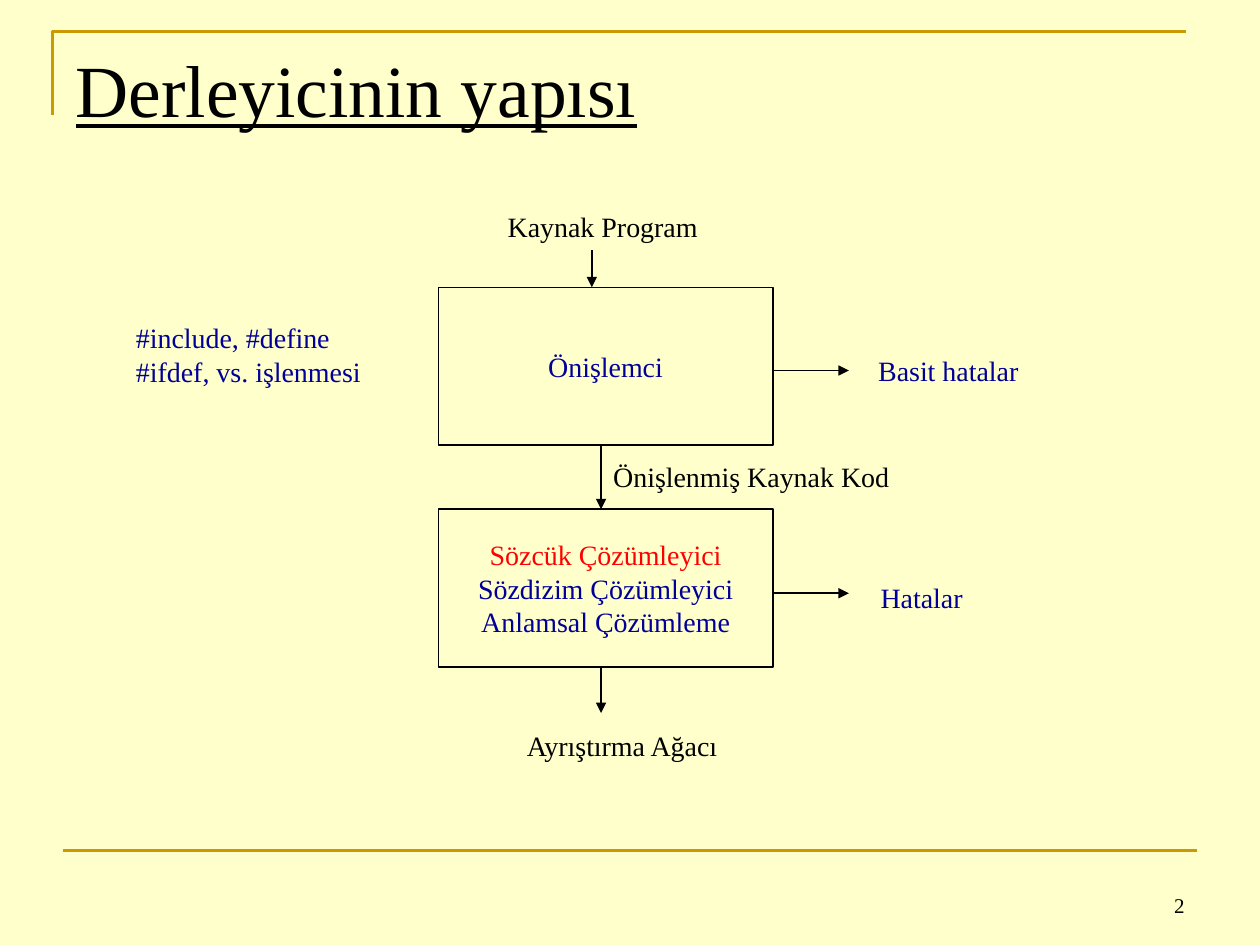
from dataclasses import dataclass
from typing import Optional

from lxml.etree import SubElement
from pptx import Presentation
from pptx.dml.color import RGBColor
from pptx.enum.shapes import MSO_CONNECTOR, MSO_SHAPE
from pptx.enum.text import MSO_ANCHOR, MSO_AUTO_SIZE, PP_ALIGN
from pptx.oxml.ns import qn
from pptx.util import Pt


@dataclass(frozen=True)
class Theme:
    font: str = "Times New Roman"
    paper: str = "FFFFCC"
    gold: str = "CC9900"
    black: str = "000000"
    navy: str = "000099"
    red: str = "FF0000"
    title_size: float = 42
    body_size: float = 16
    number_size: float = 12
    frame_line: float = 1.5
    diagram_line: float = 1


@dataclass(frozen=True)
class Label:
    lines: tuple[str, ...]
    left: float
    top: float
    width: float
    color: str


@dataclass(frozen=True)
class Stage:
    lines: tuple[str, ...]
    top: float
    first_color: str


@dataclass(frozen=True)
class Arrow:
    start: tuple[float, float]
    end: tuple[float, float]


THEME = Theme()
STAGE_LEFT, STAGE_WIDTH, STAGE_HEIGHT = 250.6, 191, 90
STAGE_RIGHT = STAGE_LEFT + STAGE_WIDTH
FLOW_X, ERROR_LENGTH, LINE_HEIGHT, INSET_Y = 343.5, 43.5, 19.2, 3.2

PREPROCESSOR = Stage(("Önişlemci",), 164.2, THEME.navy)
ANALYSER = Stage(
    ("Sözcük Çözümleyici", "Sözdizim Çözümleyici", "Anlamsal Çözümleme"), 291, THEME.red
)

LABELS = [
    Label(("Kaynak Program",), 283.7, 116.6, 121.7, THEME.black),
    Label(("#include, #define", "#ifdef, vs. işlenmesi"), 71.3, 180, 141.8, THEME.navy),
    Label(("Basit hatalar",), 495.4, 198.7, 92.9, THEME.navy),
    Label(("Önişlenmiş Kaynak Kod",), 344, 259.2, 170.6, THEME.black),
    Label(("Hatalar",), 496.8, 328.4, 59.8, THEME.navy),
    Label(("Ayrıştırma Ağacı",), 294.7, 413.3, 124.6, THEME.black),
]

ARROWS = [
    Arrow((338.2, 143), (338.2, PREPROCESSOR.top)),
    Arrow((FLOW_X, PREPROCESSOR.top + STAGE_HEIGHT), (FLOW_X, ANALYSER.top)),
    Arrow((FLOW_X, ANALYSER.top + STAGE_HEIGHT), (FLOW_X, 407.5)),
    *(Arrow((STAGE_RIGHT, y), (STAGE_RIGHT + ERROR_LENGTH, y)) for y in (211.7, 339)),
]


def write_text(frame, lines: tuple[str, ...], *, size: float = THEME.body_size,
               color: str = THEME.black, first_color: Optional[str] = None,
               align=PP_ALIGN.LEFT, anchor=MSO_ANCHOR.TOP, wrap: bool = False,
               underline: bool = False, inset: tuple[float, float] = (6.4, INSET_Y)) -> None:
    """Fill a text frame, one paragraph for each line."""
    frame.auto_size = MSO_AUTO_SIZE.NONE
    frame.word_wrap = wrap
    frame.vertical_anchor = anchor
    frame.margin_left = frame.margin_right = Pt(inset[0])
    frame.margin_top = frame.margin_bottom = Pt(inset[1])
    for index, line in enumerate(lines):
        para = frame.paragraphs[0] if index == 0 else frame.add_paragraph()
        para.alignment = align
        span = para.add_run()
        span.text = line
        span.font.name = THEME.font
        span.font.size = Pt(size)
        span.font.underline = underline
        chosen = first_color if index == 0 and first_color else color
        span.font.color.rgb = RGBColor.from_string(chosen)


def style_line(line, color: str, width: float) -> None:
    line.color.rgb = RGBColor.from_string(color)
    line.width = Pt(width)


def add_line(page, start: tuple[float, float], end: tuple[float, float], *,
             color: str = THEME.black, width: float = THEME.diagram_line,
             arrow: bool = False) -> None:
    connector = page.shapes.add_connector(
        MSO_CONNECTOR.STRAIGHT, *(Pt(value) for value in (*start, *end)))
    style_line(connector.line, color, width)
    properties = connector._element.spPr
    if arrow:
        SubElement(properties.find(qn("a:ln")), qn("a:tailEnd"), type="triangle")
    SubElement(properties, qn("a:effectLst"))


def add_stage(page, stage: Stage) -> None:
    box = page.shapes.add_shape(
        MSO_SHAPE.RECTANGLE, Pt(STAGE_LEFT), Pt(stage.top), Pt(STAGE_WIDTH), Pt(STAGE_HEIGHT))
    box.shadow.inherit = False
    box.fill.background()
    style_line(box.line, THEME.black, THEME.diagram_line)
    write_text(box.text_frame, stage.lines, color=THEME.navy, first_color=stage.first_color,
               align=PP_ALIGN.CENTER, anchor=MSO_ANCHOR.MIDDLE)


def add_label(page, label: Label) -> None:
    height = len(label.lines) * LINE_HEIGHT + 2 * INSET_Y
    box = page.shapes.add_textbox(
        Pt(label.left), Pt(label.top), Pt(label.width), Pt(height))
    write_text(box.text_frame, label.lines, color=label.color)


def add_frame(page) -> None:
    builder = page.shapes.build_freeform(Pt(30), Pt(66))
    builder.add_line_segments([(Pt(30), Pt(18)), (Pt(678), Pt(18))], close=False)
    corner = builder.convert_to_shape()
    corner.shadow.inherit = False
    corner.fill.background()
    style_line(corner.line, THEME.gold, THEME.frame_line)
    add_line(page, (36, 486), (684, 486), color=THEME.gold, width=THEME.frame_line)


def main() -> None:
    deck = Presentation()
    deck.slide_width, deck.slide_height = Pt(720), Pt(540)
    page = deck.slides.add_slide(deck.slide_layouts[5])
    page.background.fill.solid()
    page.background.fill.fore_color.rgb = RGBColor.from_string(THEME.paper)

    # Decorative frame and title
    add_frame(page)
    title = page.shapes.title
    title.left, title.top, title.width, title.height = Pt(36), Pt(21.6), Pt(648), Pt(90)
    write_text(title.text_frame, ("Derleyicinin yapısı",), size=THEME.title_size,
               underline=True, wrap=True, inset=(7.2, 3.6))

    # Compiler diagram
    for stage in (PREPROCESSOR, ANALYSER):
        add_stage(page, stage)
    for arrow in ARROWS:
        add_line(page, arrow.start, arrow.end, arrow=True)
    for label in LABELS:
        add_label(page, label)

    # Page number
    number = page.shapes.add_textbox(Pt(516), Pt(492), Pt(168), Pt(36))
    write_text(number.text_frame, ("2",), size=THEME.number_size, align=PP_ALIGN.RIGHT,
               anchor=MSO_ANCHOR.BOTTOM, wrap=True, inset=(7.2, 3.6))

    deck.save("out.pptx")


if __name__ == "__main__":
    main()
